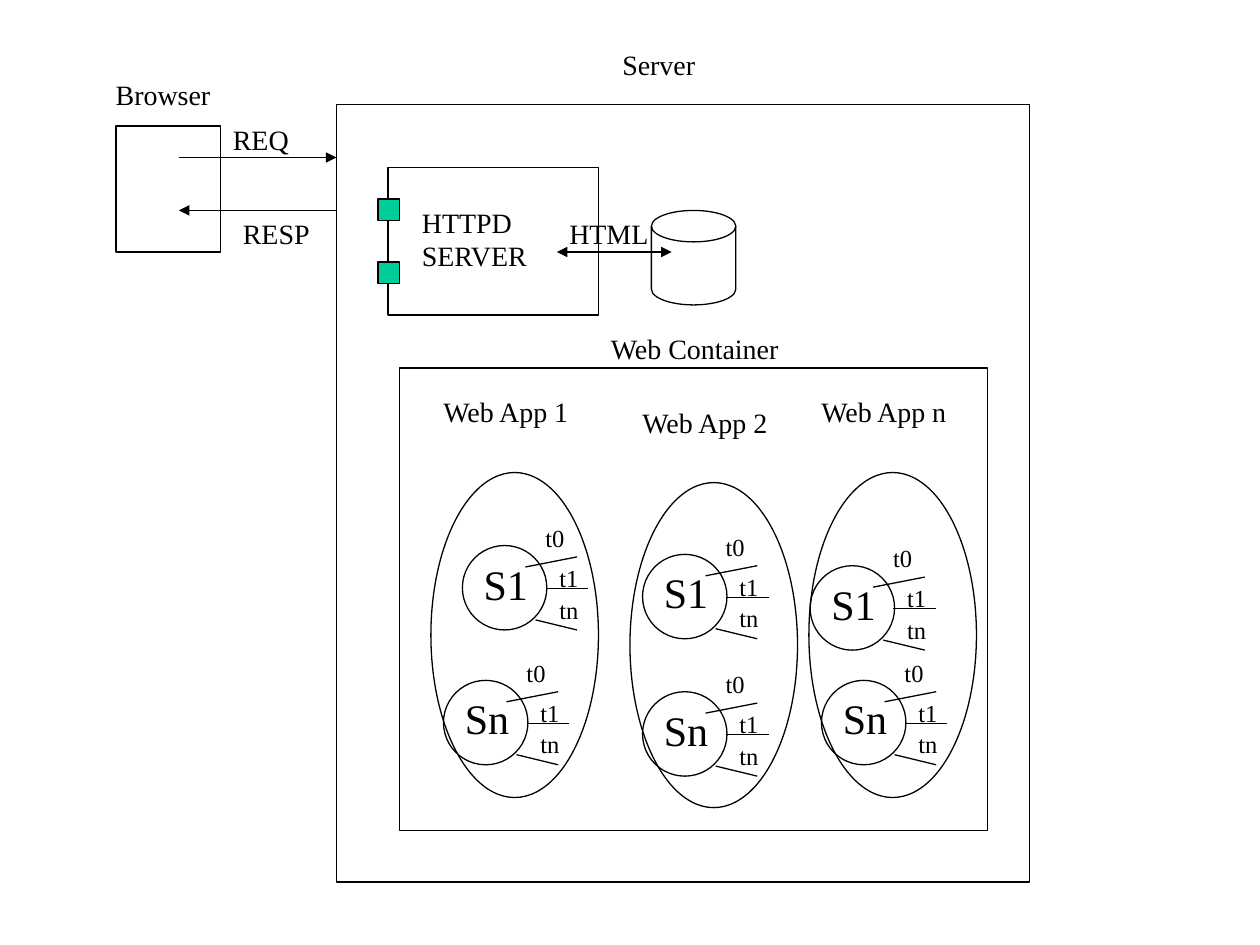
from lxml.etree import SubElement
from pptx import Presentation
from pptx.dml.color import RGBColor
from pptx.enum.shapes import MSO_CONNECTOR, MSO_SHAPE
from pptx.enum.text import MSO_AUTO_SIZE
from pptx.oxml.ns import qn
from pptx.util import Inches, Pt

BLACK = RGBColor(0, 0, 0)
WHITE = RGBColor(255, 255, 255)
GREEN = RGBColor(0x00, 0xCC, 0x99)
FONT = "Times New Roman"
LINE_WIDTH = Pt(0.75)

# Boxes: left, top, width, height
BROWSER = (0.92, 1, 0.83, 1)
SERVER = (2.67, 0.83, 5.5, 6.17)
HTTPD = (3.08, 1.33, 1.67, 1.17)
PORTS = [(3, 1.58, 0.17, 0.17), (3, 2.08, 0.17, 0.17)]
DISK = (5.17, 1.67, 0.67, 0.75)
CONTAINER = (3.17, 2.92, 4.67, 3.67)

# Labels: text, box
LABELS = [
    ("Browser", (0.82, 0.57, 0.95, 0.37)),
    ("REQ", (1.75, 0.92, 0.65, 0.37)),
    ("RESP", (1.83, 1.67, 0.73, 0.37)),
    ("Server", (4.84, 0.33, 0.78, 0.37)),
    ("HTTPD\nSERVER", (3.25, 1.58, 1.08, 0.64)),
    ("HTML", (4.42, 1.67, 0.83, 0.37)),
    ("Web Container", (4.75, 2.58, 1.55, 0.37)),
]

# Web apps: name, left, label top, ellipse top, servlets (name, left, top)
WEB_APPS = [
    ("Web App 1", 3.42, 3.08, 3.75, [("S1", 3.67, 4.33), ("Sn", 3.52, 5.4)]),
    ("Web App 2", 5, 3.17, 3.83, [("S1", 5.1, 4.4), ("Sn", 5.1, 5.49)]),
    ("Web App n", 6.42, 3.08, 3.75, [("S1", 6.43, 4.49), ("Sn", 6.52, 5.4)]),
]

# Threads relative to the servlet: name, line start, line end, label corner
THREADS = [
    ("t0", (0.5, 0.17), (0.91, 0.09), (0.56, -0.23)),
    ("t1", (0.66, 0.34), (1, 0.34), (0.67, 0.09)),
    ("tn", (0.58, 0.59), (0.91, 0.67), (0.67, 0.34)),
]


def add_outline(slide, kind, box, fill=None):
    shape = slide.shapes.add_shape(kind, *map(Inches, box))
    shape.shadow.inherit = False
    if fill is None:
        shape.fill.background()
    else:
        shape.fill.solid()
        shape.fill.fore_color.rgb = fill
    shape.line.color.rgb = BLACK
    shape.line.width = LINE_WIDTH


def add_line(slide, start, end, *arrow_ends):
    """Draw a line; arrow_ends may name headEnd and tailEnd, in that order."""
    connector = slide.shapes.add_connector(
        MSO_CONNECTOR.STRAIGHT, *map(Inches, (*start, *end)))
    connector.line.color.rgb = BLACK
    connector.line.width = LINE_WIDTH
    line = connector.line._get_or_add_ln()
    for arrow_end in arrow_ends:
        SubElement(line, qn(f"a:{arrow_end}"), type="triangle")
    SubElement(connector._element.spPr, qn("a:effectLst"))


def add_label(slide, text, box, size=16):
    text_box = slide.shapes.add_textbox(*map(Inches, box))
    frame = text_box.text_frame
    frame.word_wrap = False
    frame.auto_size = MSO_AUTO_SIZE.SHAPE_TO_FIT_TEXT
    frame.text = text
    for paragraph in frame.paragraphs:
        for run in paragraph.runs:
            run.font.name = FONT
            run.font.size = Pt(size)
            run.font.color.rgb = BLACK


def add_servlet(slide, name, left, top):
    add_outline(slide, MSO_SHAPE.OVAL, (left, top, 0.67, 0.67))
    add_label(slide, name, (left + 0.07, top + 0.05, 0.55, 0.5), 24)
    for thread, start, end, corner in THREADS:
        start, end, corner = [(left + x, top + y) for x, y in (start, end, corner)]
        add_line(slide, start, end)
        add_label(slide, thread, (*corner, 0.35, 0.34), 14)


def main():
    presentation = Presentation()
    presentation.slide_width = Inches(10)
    presentation.slide_height = Inches(7.5)
    slide = presentation.slides.add_slide(presentation.slide_layouts[6])

    add_outline(slide, MSO_SHAPE.RECTANGLE, BROWSER, WHITE)
    add_line(slide, (1.42, 1.25), (2.67, 1.25), "tailEnd")
    add_line(slide, (1.42, 1.67), (2.67, 1.67), "headEnd")
    add_outline(slide, MSO_SHAPE.RECTANGLE, SERVER, WHITE)
    add_outline(slide, MSO_SHAPE.RECTANGLE, HTTPD, WHITE)
    for port in PORTS:
        add_outline(slide, MSO_SHAPE.RECTANGLE, port, GREEN)
    add_outline(slide, MSO_SHAPE.FLOWCHART_MAGNETIC_DISK, DISK)
    add_line(slide, (4.42, 2), (5.33, 2), "headEnd", "tailEnd")
    add_outline(slide, MSO_SHAPE.RECTANGLE, CONTAINER)
    for text, box in LABELS:
        add_label(slide, text, box)

    for name, left, label_top, ellipse_top, servlets in WEB_APPS:
        add_label(slide, name, (left, label_top, 1.22, 0.37))
        add_outline(slide, MSO_SHAPE.OVAL, (left, ellipse_top, 1.33, 2.58))
        for servlet in servlets:
            add_servlet(slide, *servlet)

    presentation.save("out.pptx")


if __name__ == "__main__":
    main()
